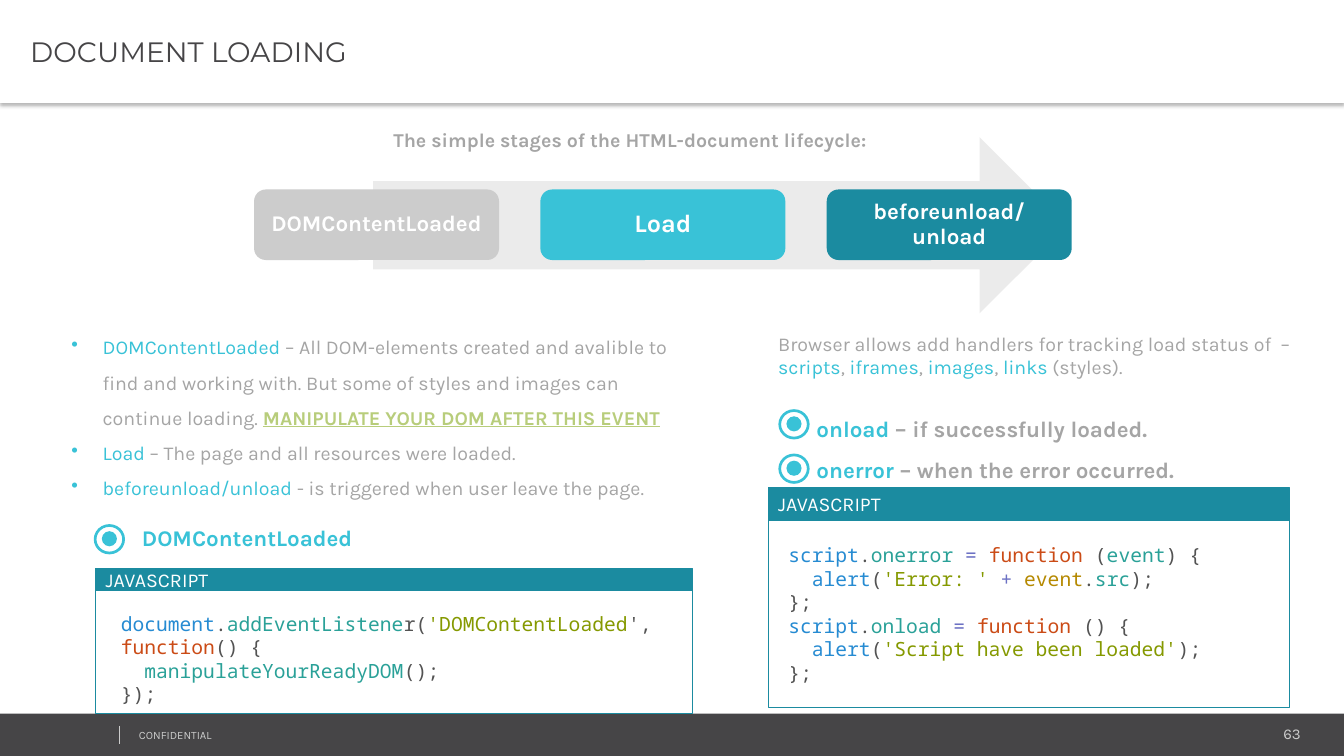
"""Build the slide on the stages of document loading."""
from lxml import etree
from pptx import Presentation
from pptx.dml.color import RGBColor
from pptx.enum.shapes import MSO_CONNECTOR, MSO_SHAPE
from pptx.enum.text import MSO_ANCHOR, PP_ALIGN
from pptx.oxml.ns import qn
from pptx.util import Inches, Pt

RECT, ROUND, OVAL = MSO_SHAPE.RECTANGLE, MSO_SHAPE.ROUNDED_RECTANGLE, MSO_SHAPE.OVAL
RING, ARROW = MSO_SHAPE.DONUT, MSO_SHAPE.RIGHT_ARROW
LEFT, MID, RIGHT = PP_ALIGN.LEFT, PP_ALIGN.CENTER, PP_ALIGN.RIGHT
TOP, CENTER = MSO_ANCHOR.TOP, MSO_ANCHOR.MIDDLE
STRAIGHT = MSO_CONNECTOR.STRAIGHT

DARK, PALE, GRAY, WHITE = "464547", "CCCCCC", "A5A5A5", "FFFFFF"
CYAN, TEAL, LIME, SHADE = "39C2D7", "1B8BA0", "B8CD7B", "BFBFBF"
INK, BLUE, AQUA, GREEN = "535353", "268BD2", "2AA198", "859900"
RUST, VIOLET, GOLD = "CB4B16", "6C71C4", "B58900"

BODY = {"name": "Karla", "size": Pt(14)}
BOLD = {**BODY, "bold": True}
HEAD = {**BOLD, "size": Pt(16)}
CODE = {"name": "Noto Sans Mono", "size": Pt(14)}
TITLE = {"name": "Montserrat", "size": Pt(20)}
STRONG = {"bold": True, "underline": True}

STAGES = [
    ("DOMContentLoaded", PALE, 16),
    ("Load", CYAN, 18),
    ("beforeunload/unload", TEAL, 16),
]
EVENTS = [
    [("DOMContentLoaded", CYAN),
     (" – All DOM-elements created and avalible to find and working with. "
      "But some of styles and images can continue loading. ", GRAY),
     ("MANIPULATE YOUR DOM AFTER THIS EVENT", LIME, STRONG)],
    [("Load", CYAN), (" – The page and all resources were loaded.", GRAY)],
    [("beforeunload/unload ", CYAN), ("- is triggered when user leave the page.", GRAY)],
]
TRACK = [[
    ("Browser allows add handlers for tracking load status of  – ", GRAY),
    ("scripts", CYAN), (", ", GRAY), ("iframes", CYAN), (", ", GRAY),
    ("images", CYAN), (", ", GRAY), ("links", CYAN), (" (styles).", GRAY),
]]
RESULTS = [
    [("onload ", CYAN), ("– if successfully loaded.", GRAY)],
    [("onerror", CYAN), (" – when the error occurred.", GRAY)],
]
READY = [
    [("document", BLUE), (".", INK), ("addEventListene", AQUA), ("r(", INK),
     ("'DOMContentLoaded", GREEN), ("', ", INK), ("function", RUST), ("() {", INK)],
    [("  ", INK), ("manipulateYourReadyDOM", AQUA), ("();", INK)],
    [("});", INK)],
]
STATUS = [
    [("script", BLUE), (".", INK), ("onerror ", AQUA), ("= ", VIOLET),
     ("function", RUST), (" (", INK), ("event", AQUA), (") {", INK)],
    [("  ", INK), ("alert", BLUE), ("(", INK), ("'Error: ' ", GREEN), ("+ ", VIOLET),
     ("event", GOLD), (".", INK), ("src", AQUA), (");", INK)],
    [("};", INK)],
    [("script", BLUE), (".", INK), ("onload ", AQUA), ("= ", VIOLET),
     ("function", RUST), (" () {", INK)],
    [("  ", INK), ("alert", BLUE), ("(", INK),
     ("'Script have been loaded'", GREEN), (");", INK)],
    [("};", INK)],
]
PANELS = [
    ((0.95, 5.64, 5.92), 0.22, 1.22, (1.1, 6.02, 5.6, 0.81), READY),
    ((7.62, 4.84, 5.17), 0.32, 1.86, (7.72, 5.34, 5.12, 1.51), STATUS),
]
MARKS = [(0.93, 5.2), (7.72, 4.06), (7.72, 4.5)]

deck = Presentation()
deck.slide_width, deck.slide_height = Inches(13.33), Inches(7.5)
slide = deck.slides.add_slide(deck.slide_layouts[6])


def paint(target, color):
    """Give a fill, line or font a colour from a hex string."""
    if hasattr(target, "solid"):
        target.solid()
        target.fore_color.rgb = RGBColor.from_string(color)
    else:
        target.color.rgb = RGBColor.from_string(color)


def shape(kind, box, fill=None, line=None):
    """Add a preset shape."""
    item = slide.shapes.add_shape(kind, *map(Inches, box))
    item.shadow.inherit = False
    if fill:
        paint(item.fill, fill)
    else:
        item.fill.background()
    if line:
        paint(item.line, line)
        item.line.width = Pt(0.75)
    else:
        item.line.fill.background()
    return item


def write(item, paras, style, align=LEFT, anchor=TOP, space=1.0, side=0.1, bullet=False):
    """Fill an item with paragraphs of coloured runs."""
    frame = item.text_frame
    frame.word_wrap, frame.vertical_anchor = True, anchor
    frame.margin_left = Inches(side)
    for at, runs in enumerate(paras):
        para = frame.add_paragraph() if at else frame.paragraphs[0]
        para.alignment, para.line_spacing = align, space
        if bullet:
            props = para._p.get_or_add_pPr()
            props.set("marL", str(Inches(0.31)))
            props.set("indent", str(-Inches(0.31)))
            tint = etree.SubElement(props, qn("a:buClr"))
            etree.SubElement(tint, qn("a:srgbClr"), val=CYAN)
            etree.SubElement(props, qn("a:buChar"), char="•")
        for text, color, *extra in runs:
            run = para.add_run()
            run.text = text
            for key, value in {**style, **(extra[0] if extra else {})}.items():
                setattr(run.font, key, value)
            paint(run.font, color)


def label(box, paras, style, **form):
    """Add a text box."""
    write(slide.shapes.add_textbox(*map(Inches, box)), paras, style, **form)


shape(RECT, (0, 7.08, 13.33, 0.42), DARK)
label((10.82, 7.14, 2.18, 0.28), [[("63", PALE)]], {**BODY, "size": Pt(10.7)}, align=RIGHT)
label((1.28, 7.18, 3.38, 0.24), [[("CONFIDENTIAL", PALE)]], {**BODY, "size": Pt(8)})
rule = slide.shapes.add_connector(STRAIGHT, *map(Inches, (1.19, 7.2, 1.19, 7.38)))
paint(rule.line, PALE)
rule.line.width = Pt(0.75)
etree.SubElement(rule._element.spPr, qn("a:effectLst"))

label((0.22, 1.1, 12.06, 0.45),
      [[("The simple stages of the HTML-document lifecycle:", GRAY)]],
      BOLD, align=MID, space=1.5)
arrow = shape(ARROW, (3.7, 1.36, 6.89, 1.75), SHADE)
tone = arrow._element.spPr.find(qn("a:solidFill"))[0]
etree.SubElement(tone, qn("a:alpha"), val="30000")
for at, (name, color, size) in enumerate(STAGES):
    stage = shape(ROUND, (2.52 + 2.84 * at, 1.88, 2.43, 0.7), color)
    write(stage, [[(name, WHITE)]], {**BOLD, "size": Pt(size)},
          align=MID, anchor=CENTER, space=0.9)

label((0.61, 3.16, 6.26, 1.87), EVENTS, BODY, space=1.5, bullet=True)

banner = shape(RECT, (0, 0, 13.33, 1.02), WHITE)
write(banner, [[("DOCUMENT LOADING", DARK)]], TITLE, anchor=CENTER, side=0.3)
glow = etree.SubElement(banner._element.spPr.find(qn("a:effectLst")), qn("a:outerShdw"),
                        blurRad=str(Pt(3.1)), dist=str(Pt(2)), dir="5400000")
black = etree.SubElement(glow, qn("a:srgbClr"), val="000000")
etree.SubElement(black, qn("a:alpha"), val="30000")

label((1.31, 5.15, 4.94, 0.37), [[("DOMContentLoaded", CYAN)]], HEAD)
label((8, 3.94, 4.94, 0.86), RESULTS, HEAD, space=1.5)
for (left, top, width), bar, high, area, lines in PANELS:
    head = shape(RECT, (left, top, width, bar), TEAL, TEAL)
    write(head, [[("JAVASCRIPT", WHITE)]], BODY, anchor=CENTER)
    shape(RECT, (left, top + bar, width, high), line=TEAL)
    label(area, lines, CODE)
for left, top in MARKS:
    shape(OVAL, (left + 0.08, top + 0.07, 0.15, 0.15), CYAN)
    shape(RING, (left, top, 0.31, 0.3), CYAN).adjustments[0] = 0.09
label((7.62, 3.24, 5.33, 0.57), TRACK, BODY)

deck.save("out.pptx")
